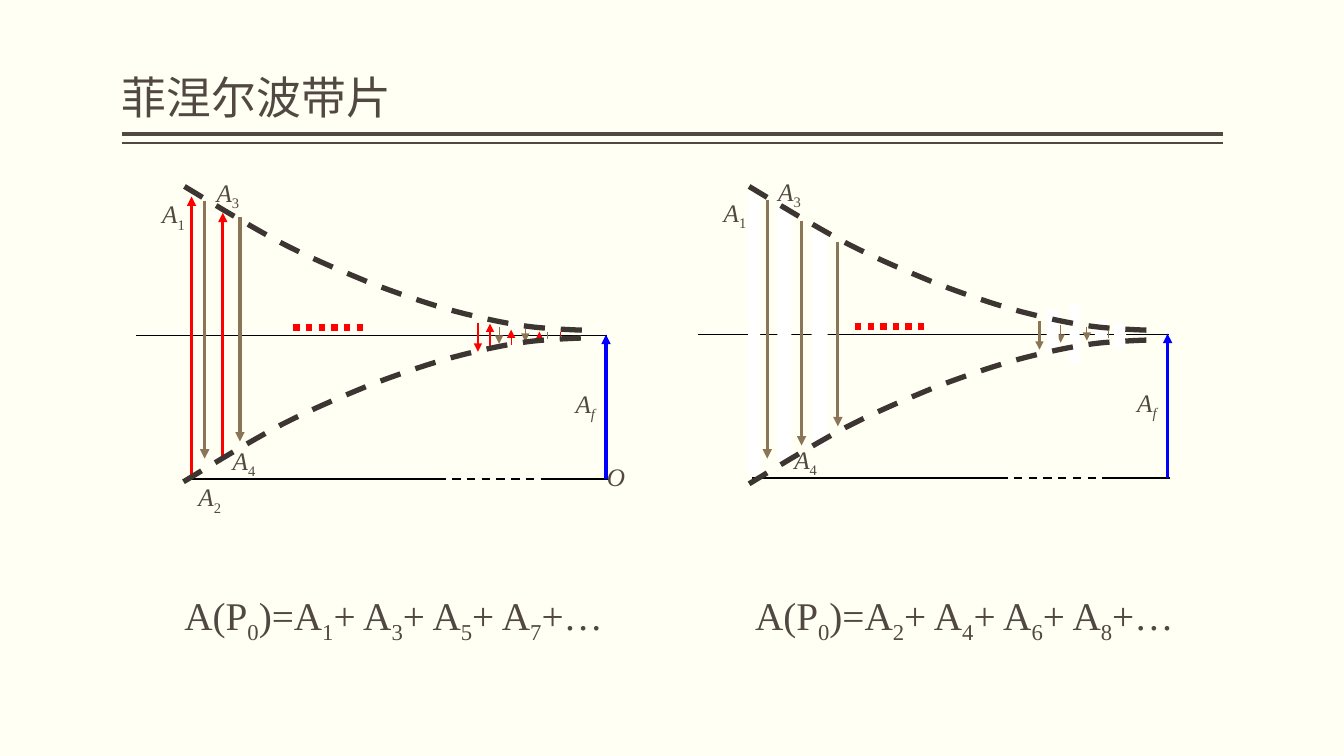
from lxml import etree
from pptx import Presentation
from pptx.dml.color import RGBColor
from pptx.enum.dml import MSO_LINE
from pptx.enum.shapes import MSO_CONNECTOR, MSO_SHAPE
from pptx.enum.text import MSO_ANCHOR, MSO_AUTO_SIZE, PP_ALIGN
from pptx.oxml.ns import qn
from pptx.util import Inches, Pt

STRAIGHT = MSO_CONNECTOR.STRAIGHT
RECTANGLE = MSO_SHAPE.RECTANGLE
DASH, DOTS = MSO_LINE.DASH, MSO_LINE.ROUND_DOT
BOTTOM, NO_FIT = MSO_ANCHOR.BOTTOM, MSO_AUTO_SIZE.NONE
LEFT, JUSTIFY = PP_ALIGN.LEFT, PP_ALIGN.JUSTIFY

INK, BROWN, RED, BLUE = "514843", "8A7557", "FF0000", "0000FF"
BLACK, WHITE, CURVE, PAPER = "000000", "FFFFFF", "3C3532", "FFFFF3"
SERIF = "Times New Roman"

RIGHT_SHIFT, RIGHT_DROP = 5.57, -0.01
ENVELOPE = [
    (1.83, 1.85), (2.16, 2.05), (2.49, 2.25), (2.79, 2.41),
    (3.1, 2.57), (3.39, 2.69), (3.68, 2.81),
    (3.97, 2.92), (4.26, 3.02), (4.52, 3.09),
    (4.79, 3.16), (5.02, 3.21), (5.25, 3.24),
    (5.48, 3.27), (5.9, 3.28), (5.9, 3.28),
]
LEFT_VECTORS = [
    (1.9, 4.73, 1.95, RED, 2.25), (2.03, 1.99, 4.55, BROWN, 2.25),
    (2.21, 4.52, 2.11, RED, 2.25), (2.38, 2.15, 4.38, BROWN, 2.25),
    (4.74, 3.2, 3.49, RED, 1.5), (4.86, 3.46, 3.21, RED, 0.75),
    (4.95, 3.24, 3.41, BROWN, 0.75), (5.07, 3.42, 3.27, RED, 0.75),
    (5.21, 3.26, 3.39, BROWN, 0.75), (5.35, 3.38, 3.29, RED, 0.75),
]
RIGHT_VECTORS = [
    (7.47, 4.71, 1.93, RED, 2.25), (7.61, 1.98, 4.55, BROWN, 2.25),
    (7.95, 2.19, 4.42, BROWN, 2.25), (8.31, 2.4, 4.23, BROWN, 2.25),
    (10.31, 3.18, 3.47, BROWN, 1.5), (10.52, 3.22, 3.4, BROWN, 0.75),
    (10.78, 3.24, 3.38, BROWN, 0.75),
]
BLOCKED_ZONES = [
    (7.42, 1.92, 0.12, 2.81), (7.71, 2, 0.14, 2.58), (8.05, 2.29, 0.16, 2.14),
    (10.38, 3.07, 0.12, 0.44), (10.61, 3.02, 0.1, 0.59),
    (10.86, 3.17, 0.12, 0.27), (11.05, 3.21, 0.12, 0.25),
]


def color(code):
    """Turn a hex string into a colour."""
    return RGBColor.from_string(code)


class ZonePlateSlide:
    """Draws the elements of the slide in one style."""

    def __init__(self, presentation):
        """Add a title-only slide with the paper background."""
        self.slide = presentation.slides.add_slide(presentation.slide_layouts[5])
        self.shapes = self.slide.shapes
        fill = self.slide.background.fill
        fill.solid()
        fill.fore_color.rgb = color(PAPER)

    def title(self, words):
        """Place and format the title."""
        heading = self.shapes.title
        heading.left, heading.top = Inches(1.21), Inches(0.08)
        heading.width, heading.height = Inches(10.92), Inches(1.2)
        frame = heading.text_frame
        frame.auto_size, frame.vertical_anchor = NO_FIT, BOTTOM
        frame.margin_left = frame.margin_right = 0
        frame.text = words
        paragraph = frame.paragraphs[0]
        paragraph.alignment, paragraph.line_spacing = LEFT, 0.9
        self.font(paragraph, 32, "Roboto")

    def font(self, paragraph, size, name=SERIF):
        """Set the font of a paragraph."""
        font = paragraph.font
        font.size, font.name = Pt(size), name
        font.color.rgb = color(INK)

    def stroke(self, line, code, weight, dash=None):
        """Format an outline."""
        line.color.rgb = color(code)
        line.width = Pt(weight)
        if dash is not None:
            line.dash_style = dash

    def line(self, start, end, code, weight, dash=None, arrow=False):
        """Draw a straight line or an arrow."""
        connector = self.shapes.add_connector(
            STRAIGHT, *(Inches(value) for value in (*start, *end)))
        self.stroke(connector.line, code, weight, dash)
        properties = connector._element.spPr
        if arrow:
            outline = properties.find(qn("a:ln"))
            etree.SubElement(outline, qn("a:tailEnd"), type="triangle")
        etree.SubElement(properties, qn("a:effectLst"))

    def vectors(self, rows):
        """Draw the vertical amplitude arrows."""
        for x, start, end, code, weight in rows:
            self.line((x, start), (x, end), code, weight, arrow=True)

    def zone(self, *box):
        """Cover a blocked zone with a plain rectangle."""
        cover = self.shapes.add_shape(RECTANGLE, *(Inches(value) for value in box))
        cover.shadow.inherit = False
        cover.fill.solid()
        cover.fill.fore_color.rgb = color(WHITE)
        cover.line.fill.background()

    def curve(self, points):
        """Draw a dashed chain of cubic curves through every third point."""
        start, *rest = [(Inches(x), Inches(y)) for x, y in points]
        builder = self.shapes.build_freeform(*start)
        builder.add_line_segments(rest, close=False)
        outline = builder.convert_to_shape()
        segments = list(outline._element.iter(qn("a:lnTo")))
        for first in range(0, len(segments), 3):
            cubic = etree.Element(qn("a:cubicBezTo"))
            segments[first].addprevious(cubic)
            for segment in segments[first:first + 3]:
                cubic.append(segment[0])
                segment.getparent().remove(segment)
        outline.shadow.inherit = False
        outline.fill.background()
        self.stroke(outline.line, CURVE, 3.78, DASH)

    def text(self, box, pattern, size, alignment=LEFT, italic=False):
        """Write text whose subscripts stand between bars."""
        frame = self.shapes.add_textbox(*(Inches(value) for value in box)).text_frame
        frame.word_wrap = True
        paragraph = frame.paragraphs[0]
        paragraph.alignment = alignment
        self.font(paragraph, size)
        for index, part in enumerate(pattern.split("|")):
            if not part:
                continue
            run = paragraph.add_run()
            run.text = part
            if italic:
                run.font.italic = not part.isdigit()
            if index % 2:
                run._r.get_or_add_rPr().set("baseline", "-25000")

    def label(self, x, y, pattern):
        """Write a symbol beside the diagram."""
        self.text((x, y, 0.6, 0.48), pattern, 18, JUSTIFY, italic=True)

    def frame(self, dx=0, dy=0):
        """Draw the axis, baseline, result arrow and labels of a diagram."""
        for start, end, y, code, weight, dash in (
                (1.35, 6.02, 3.33, BLACK, 0.75, None),
                (2.91, 3.62, 3.25, RED, 4.5, DOTS),
                (1.89, 4.36, 4.75, BLACK, 1.5, None),
                (4.34, 5.44, 4.75, BLACK, 1.5, DASH),
                (5.38, 6.03, 4.75, BLACK, 1.5, None)):
            self.line((start + dx, y + dy), (end + dx, y + dy), code, weight, dash)
        self.vectors([(6.01 + dx, 4.75 + dy, 3.32 + dy, BLUE, 2.25)])
        for x, y, pattern in ((5.61, 3.8, "A|f|"), (1.51, 1.92, "A|1|"),
                              (2.05, 1.71, "A|3|"), (2.21, 4.37, "A|4|")):
            self.label(x + dx, y + dy, pattern)

    def envelope(self, upper_dx, lower_dx, mirror_sum):
        """Draw the upper curve and its mirror image below the axis."""
        self.curve([(x + upper_dx, y) for x, y in ENVELOPE])
        self.curve([(x + lower_dx, mirror_sum - y) for x, y in ENVELOPE])

    def formula(self, box, orders):
        """Write the sum of the amplitudes of the open zones."""
        terms = "+ ".join(f"A|{order}|" for order in orders)
        self.text(box, f"A(P|0|)={terms}+…", 28)


def main():
    """Build the slide and save it."""
    presentation = Presentation()
    presentation.slide_width, presentation.slide_height = Inches(13.33), Inches(7.5)
    slide = ZonePlateSlide(presentation)
    for y, weight in ((1.33, 3), (1.42, 1)):
        slide.line((12.13, y), (1.21, y), INK, weight)
    slide.title("菲涅尔波带片")

    slide.frame()
    slide.vectors(LEFT_VECTORS)
    slide.line((5.43, 3.29), (5.43, 3.36), BROWN, 0.75)
    slide.line((5.56, 3.29), (5.56, 3.37), RED, 0.75)
    slide.label(5.92, 4.53, "O")
    slide.label(1.87, 4.73, "A|2|")
    slide.envelope(0, -0.01, 6.63)

    slide.frame(RIGHT_SHIFT, RIGHT_DROP)
    slide.vectors(RIGHT_VECTORS)
    slide.line((10.99, 3.28), (10.99, 3.35), BROWN, 0.75)
    for box in BLOCKED_ZONES:
        slide.zone(*box)
    slide.envelope(5.6, 5.6, 6.65)

    slide.formula((1.73, 5.82, 4.49, 0.57), (1, 3, 5, 7))
    slide.formula((7.39, 5.82, 4.77, 0.57), (2, 4, 6, 8))
    presentation.save("out.pptx")


if __name__ == "__main__":
    main()
